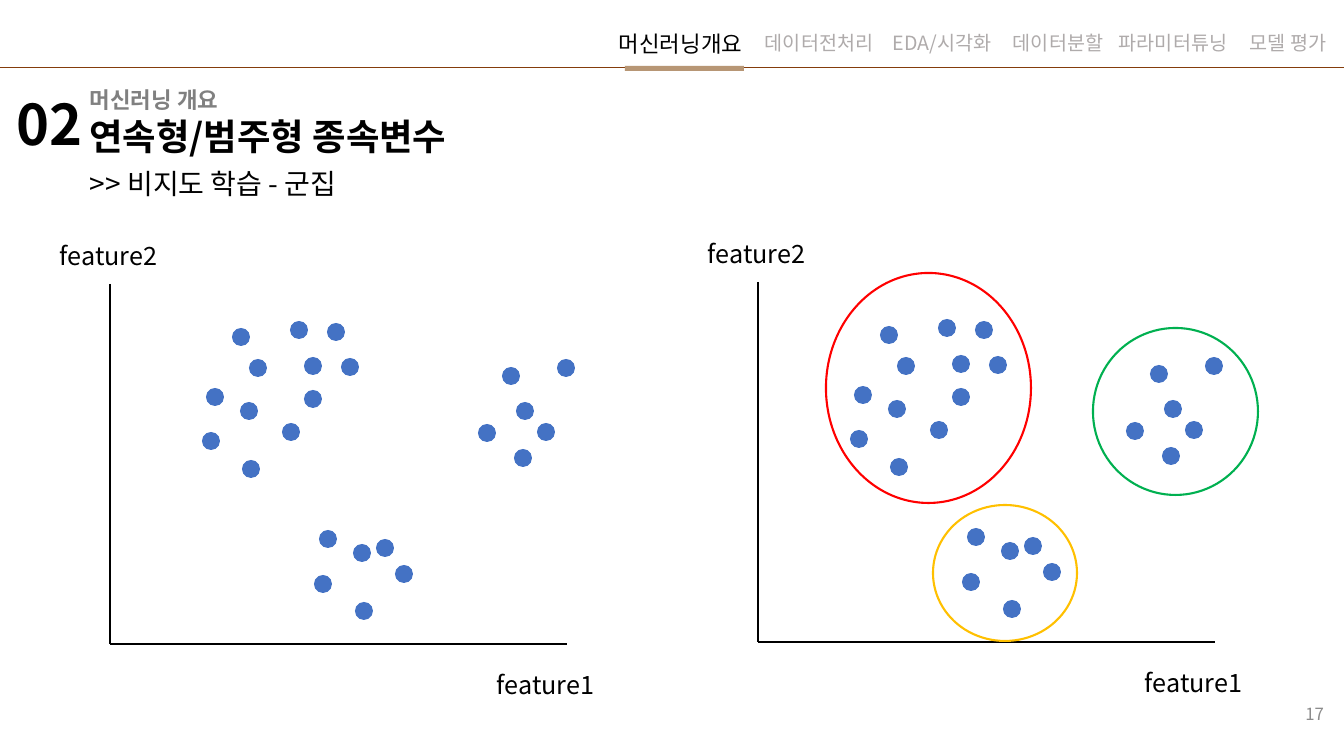
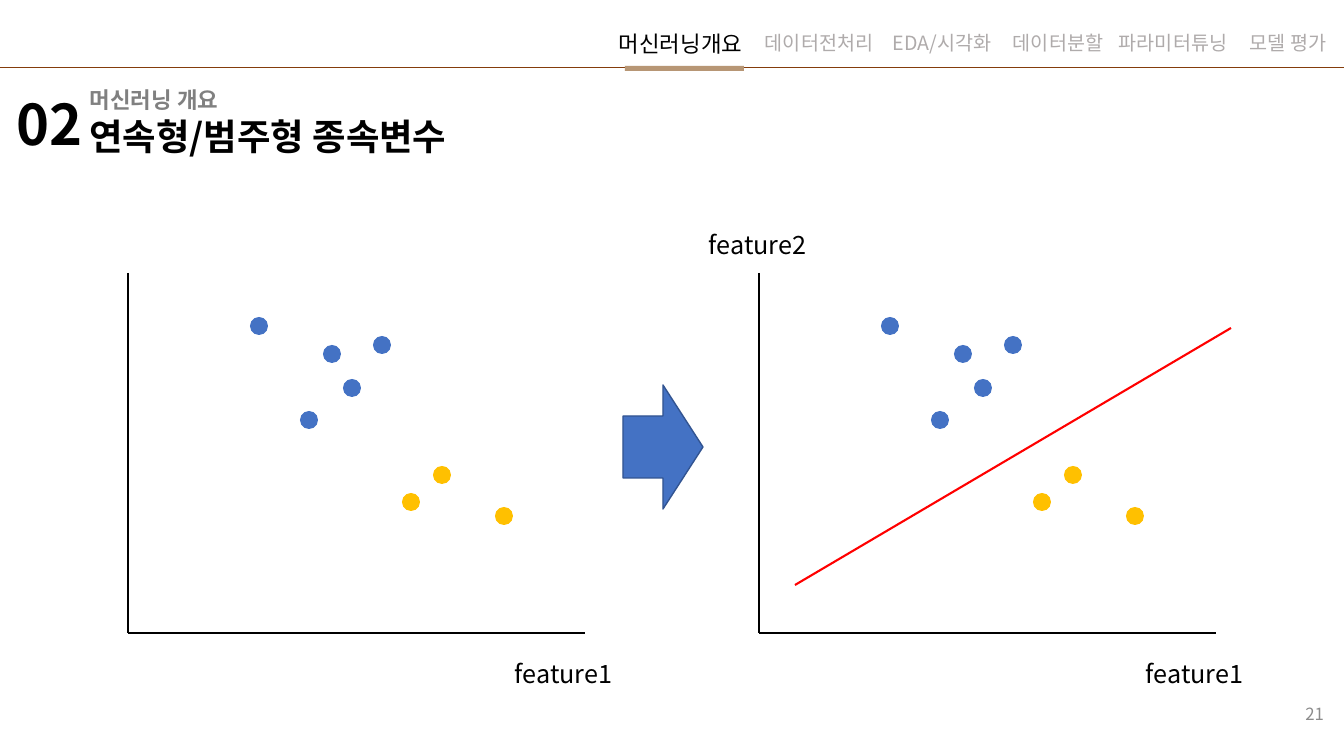
from lxml.etree import SubElement
from pptx import Presentation
from pptx.dml.color import RGBColor
from pptx.enum.shapes import MSO_CONNECTOR as Connector, MSO_SHAPE as Preset
from pptx.enum.text import MSO_ANCHOR as Anchor, MSO_AUTO_SIZE as AutoSize, PP_ALIGN as Align
from pptx.oxml.ns import qn
from pptx.util import Emu, Pt

FONT = "Noto Sans CJK KR"
BLACK, GREY, PALE, NUMBER = "000000", "808080", "AFABAB", "8C8C8C"
BROWN, TAN, BLUE, NAVY = "843C0B", "B79675", "4472C4", "325491"
RED, GREEN, YELLOW = "FF0000", "00B050", "FFC000"
DOT, AXIS_WIDTH, AXIS_HEIGHT = 18, 457, 360


def px(*lengths):
    return [Emu(round(length * 914400 / 100.8)) for length in lengths]


def color(hex_code):
    return RGBColor.from_string(hex_code)


chapters = [
    ("데이터전처리", 755, 139),
    ("EDA/시각화", 883, 132),
    ("데이터분할", 1003, 118),
    ("파라미터튜닝", 1109, 142),
    ("모델 평가", 1240, 111),
]
shared_texts = [
    ("머신러닝 개요", (80, 81, 357, 40), {"size": 16, "color": GREY, "bold": True}),
    ("머신러닝개요", (609, 25, 161, 37), {"size": 16}),
    ("02", (7, 85, 89, 78), {"size": 40, "bold": True}),
] + [
    (chapter, (left, 26, width, 34), {"size": 14, "color": PALE})
    for chapter, left, width in chapters
]

upper_cluster = [
    (130, 118), (92, 148), (172, 139), (194, 73), (194, 106), (96, 104),
    (132, 176), (139, 75), (180, 37), (231, 74), (122, 44), (217, 39),
]
lower_cluster = [(243, 260), (204, 291), (285, 281), (266, 255), (209, 246), (245, 318)]
right_cluster = [(406, 118), (368, 140), (392, 83), (427, 139), (404, 165), (447, 75)]
blue_class = [(172, 138), (195, 72), (215, 106), (245, 63), (122, 44)]
yellow_class = [(274, 220), (367, 234), (305, 193)]

pages = [
    {
        "number": "17",
        "plots": [(110, 284, True), (758, 282, True)],
        "dots": {BLUE: upper_cluster + lower_cluster + right_cluster},
        "texts": [(">> 비지도 학습 - 군집", (80, 165, 457, 64), {"size": 20, "spacing": 0.9})],
        "lines": [],
        "shapes": [
            (Preset.OVAL, (826, 273, 205, 230), None, RED, 1.5),
            (Preset.OVAL, (1093, 328, 165, 167), None, GREEN, 1.5),
            (Preset.OVAL, (933, 505, 144, 136), None, YELLOW, 1.5),
        ],
    },
    {
        "number": "21",
        "plots": [(128, 273, False), (759, 273, True)],
        "dots": {BLUE: blue_class, YELLOW: yellow_class},
        "texts": [],
        "lines": [((795, 585, 1231, 328), RED, 1.5)],
        "shapes": [(Preset.RIGHT_ARROW, (623, 385, 80, 124), BLUE, NAVY, 1)],
    },
]

deck = Presentation()
deck.slide_width, deck.slide_height = px(1344, 756)

for page in pages:
    slide = deck.slides.add_slide(deck.slide_layouts[5])
    lines = [((0, 68, 1344, 68), BROWN, 0.75)] + page["lines"]
    shapes = [(Preset.RECTANGLE, (625, 66, 119, 5), TAN, None, 0)]
    texts = shared_texts + page["texts"] + [
        ("연속형/범주형 종속변수", (79, 109, 408, 62), {"size": 26, "bold": True, "title": True}),
        (page["number"], (1224, 694, 110, 40),
         {"size": 12, "color": NUMBER, "align": Align.RIGHT, "anchor": Anchor.MIDDLE}),
    ]

    for left, top, has_vertical_label in page["plots"]:
        bottom = top + AXIS_HEIGHT
        lines += [
            ((left, top, left, bottom), BLACK, 1),
            ((left + AXIS_WIDTH, bottom, left, bottom), BLACK, 1),
        ]
        shapes += [
            (Preset.OVAL, (left + x, top + y, DOT, DOT), fill, None, 0)
            for fill, dots in page["dots"].items()
            for x, y in dots
        ]
        texts.append(("feature1", (left + 377, top + 380, 120, 40), {"size": 18}))
        if has_vertical_label:
            texts.append(("feature2", (left - 60, top - 49, 120, 40), {"size": 18}))

    for ends, stroke, weight in lines:
        connector = slide.shapes.add_connector(Connector.STRAIGHT, *px(*ends))
        connector.line.color.rgb = color(stroke)
        connector.line.width = Pt(weight)
        SubElement(connector._element.spPr, qn("a:effectLst"))

    for preset, bounds, fill, stroke, weight in shapes + page["shapes"]:
        shape = slide.shapes.add_shape(preset, *px(*bounds))
        shape.shadow.inherit = False
        if fill:
            shape.fill.solid()
            shape.fill.fore_color.rgb = color(fill)
        else:
            shape.fill.background()
        if stroke:
            shape.line.color.rgb = color(stroke)
            shape.line.width = Pt(weight)
        else:
            shape.line.fill.background()

    for text, bounds, style in texts:
        if style.get("title"):
            box = slide.shapes.title
            box.left, box.top, box.width, box.height = px(*bounds)
        else:
            box = slide.shapes.add_textbox(*px(*bounds))
        frame = box.text_frame
        paragraph = frame.paragraphs[0]
        run = paragraph.add_run()
        run.text = text
        run.font.color.rgb = color(style.get("color", BLACK))
        formats = [
            (frame, {"word_wrap": True, "auto_size": AutoSize.NONE,
                     "vertical_anchor": style.get("anchor", Anchor.TOP)}),
            (paragraph, {"alignment": style.get("align", Align.LEFT),
                         "line_spacing": style.get("spacing", 1.0)}),
            (run.font, {"size": Pt(style["size"]), "bold": style.get("bold", False), "name": FONT}),
        ]
        for target, values in formats:
            for attribute, value in values.items():
                setattr(target, attribute, value)
        SubElement(run._r.get_or_add_rPr(), qn("a:ea"), typeface=FONT)

deck.save("out.pptx")
